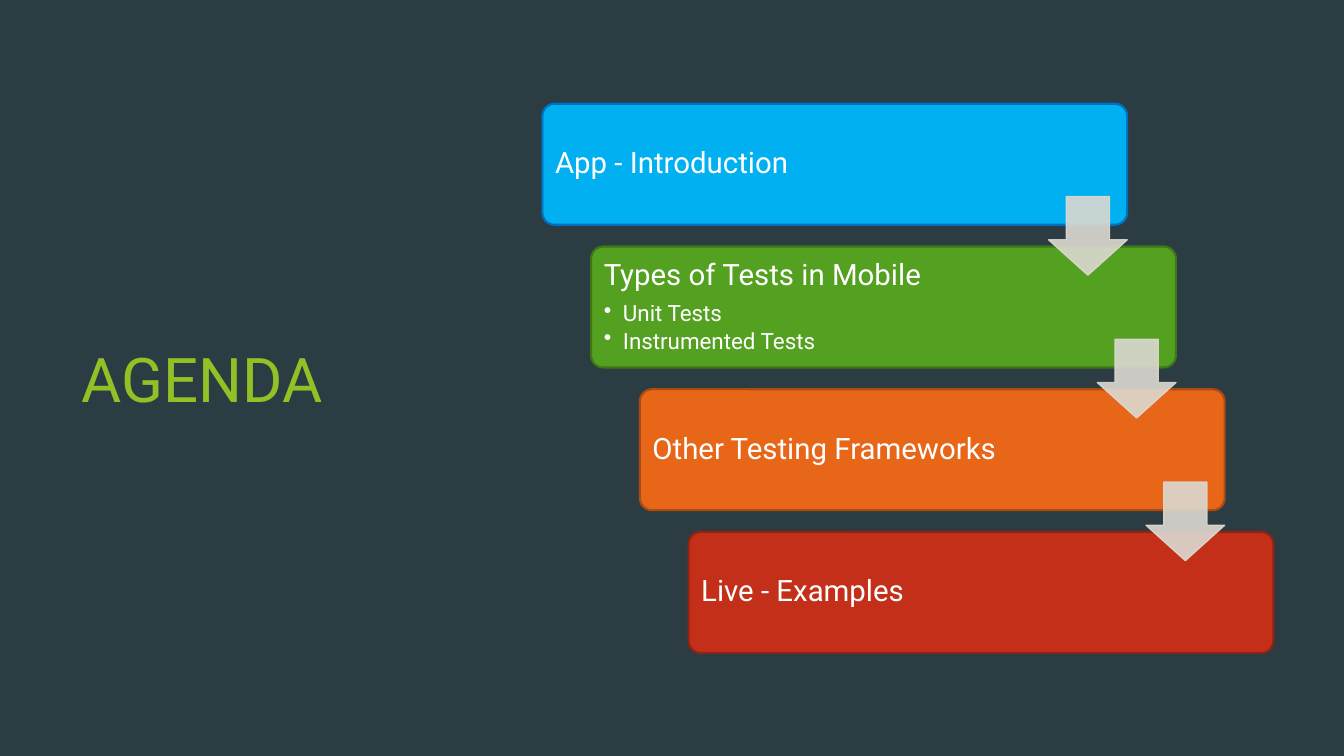
import pptx
import pptx.util
import pptx.dml.color
import pptx.enum.shapes
import pptx.enum.text
from dataclasses import dataclass
from lxml import etree
from pptx.oxml.ns import qn

TITLE = "AGENDA"
# heading, sub-points, fill, line
STEPS = [
    ("App - Introduction", [], "00B0F0", "0070C0"),
    ("Types of Tests in Mobile", ["Unit Tests", "Instrumented Tests"],
     "54A021", "3E7618"),
    ("Other Testing Frameworks", [], "E76618", "AB4B12"),
    ("Live - Examples", [], "C42F1A", "912313"),
]


@dataclass(frozen=True)
class Theme:
    font: str = "Roboto"
    back: str = "2C3C43"
    title: str = "90C226"
    text: str = "FFFFFF"
    arrow: str = "DCD9D1"
    big: int = 44
    head: int = 21
    item: int = 16


THEME = Theme()
WIDE, HIGH = 13.33, 7.5
LEFT, TOP = 5.38, 1.03             # first card of the stairs
CARD_W, CARD_H = 5.8, 1.2
STEP_X = CARD_W / 12
STEP_Y = CARD_H * 1.18
PAD = 0.035                        # card edge to text box
TEXT_W = 4.46
ARROW = CARD_H * 0.65
DROP = 0.92                        # card top to arrow top
INSET = 0.09
INDENT = 0.19

Inches, Pt = pptx.util.Inches, pptx.util.Pt
Kind = pptx.enum.shapes.MSO_SHAPE


def color(code):
    return pptx.dml.color.RGBColor.from_string(code)


def add_run(para, words, size, code):
    run = para.add_run()
    run.text = words
    run.font.name = THEME.font
    run.font.size = Pt(size)
    run.font.color.rgb = color(code)


def add_form(slide, kind, box, adjust, fill, line, width):
    form = slide.shapes.add_shape(kind, *map(Inches, box))
    form.shadow.inherit = False
    for i, value in enumerate(adjust):
        form.adjustments[i] = value
    form.fill.solid()
    form.fill.fore_color.rgb = color(fill)
    form.line.color.rgb = color(line)
    form.line.width = Pt(width)
    return form


def add_text(slide, box, inset):
    frame = slide.shapes.add_textbox(*map(Inches, box)).text_frame
    frame.word_wrap = True
    frame.vertical_anchor = pptx.enum.text.MSO_ANCHOR.MIDDLE
    frame.margin_left = frame.margin_right = Inches(inset)
    frame.margin_top = frame.margin_bottom = Inches(inset)
    return frame


def add_bullet(para):
    props = para._p.get_or_add_pPr()
    props.set("marL", str(Inches(INDENT)))
    props.set("indent", str(-Inches(INDENT)))
    etree.SubElement(props, qn("a:buChar"), char="•")


def add_card(slide, x, y, step):
    head, items, fill, line = step
    add_form(slide, Kind.ROUNDED_RECTANGLE, (x, y, CARD_W, CARD_H),
             [0.1], fill, line, 1.5)
    box = (x + PAD, y + PAD, TEXT_W, CARD_H - 2 * PAD)
    frame = add_text(slide, box, INSET)
    for i, words in enumerate([head] + items):
        para = frame.add_paragraph() if i else frame.paragraphs[0]
        size, gap = (THEME.item, 0.15) if i else (THEME.head, 0.35)
        para.line_spacing = 0.9
        para.space_after = Pt(size * gap)
        if i:
            para.level = 1
            add_bullet(para)
        add_run(para, words, size, THEME.text)


def add_arrow(slide, x, y):
    """Hang a see-through arrow on the right edge of the card at x, y."""
    box = (x + CARD_W - ARROW, y + DROP, ARROW, ARROW)
    form = add_form(slide, Kind.DOWN_ARROW, box, [0.55, 0.45],
                    THEME.arrow, THEME.arrow, 1)
    for tone in form._element.spPr.iter(qn("a:srgbClr")):
        etree.SubElement(tone, qn("a:alpha"), val="90000")


def main():
    deck = pptx.Presentation()
    deck.slide_width, deck.slide_height = Inches(WIDE), Inches(HIGH)
    slide = deck.slides.add_slide(deck.slide_layouts[6])
    slide.background.fill.solid()
    slide.background.fill.fore_color.rgb = color(THEME.back)

    frame = add_text(slide, (0.71, 1.51, 3.88, 4.48), 0.1)
    add_run(frame.paragraphs[0], TITLE, THEME.big, THEME.title)

    spots = [(LEFT + i * STEP_X, TOP + i * STEP_Y) for i in range(len(STEPS))]
    for (x, y), step in zip(spots, STEPS):
        add_card(slide, x, y, step)
    for x, y in spots[:-1]:
        add_arrow(slide, x, y)
    deck.save("out.pptx")


if __name__ == "__main__":
    main()
